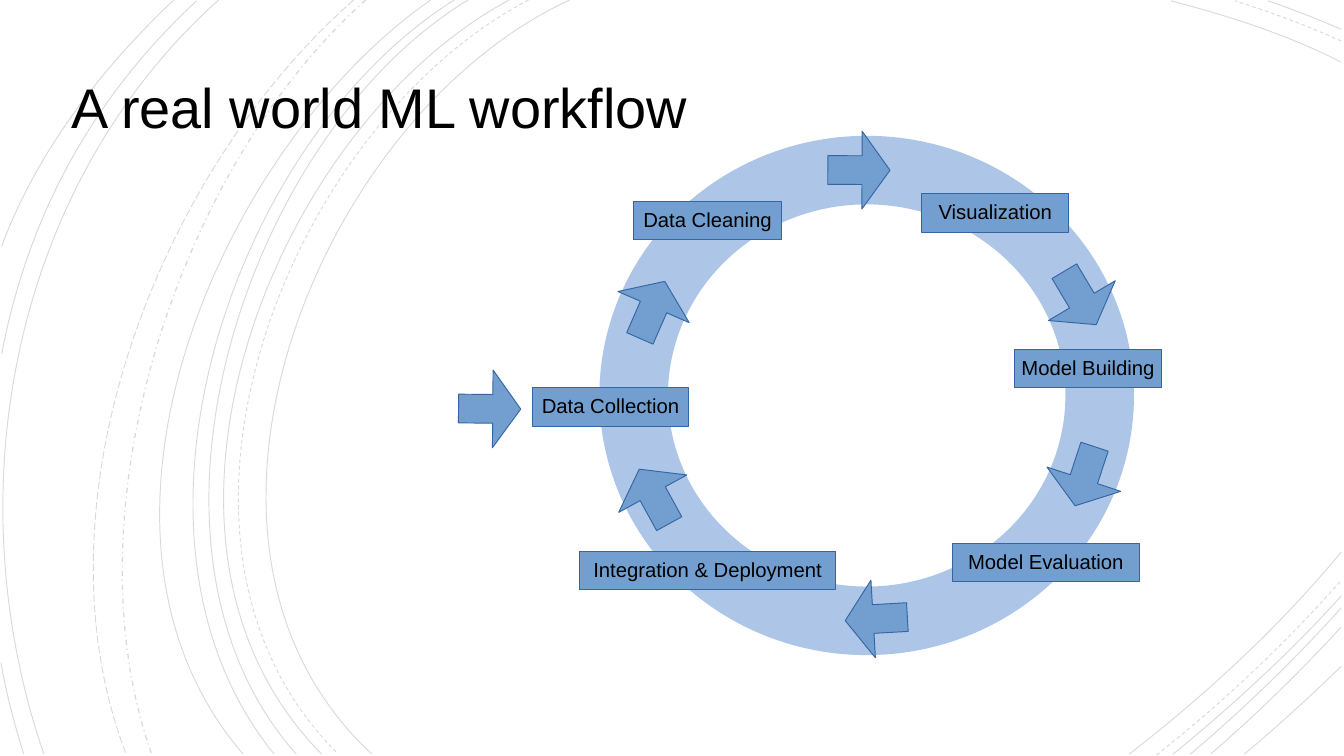
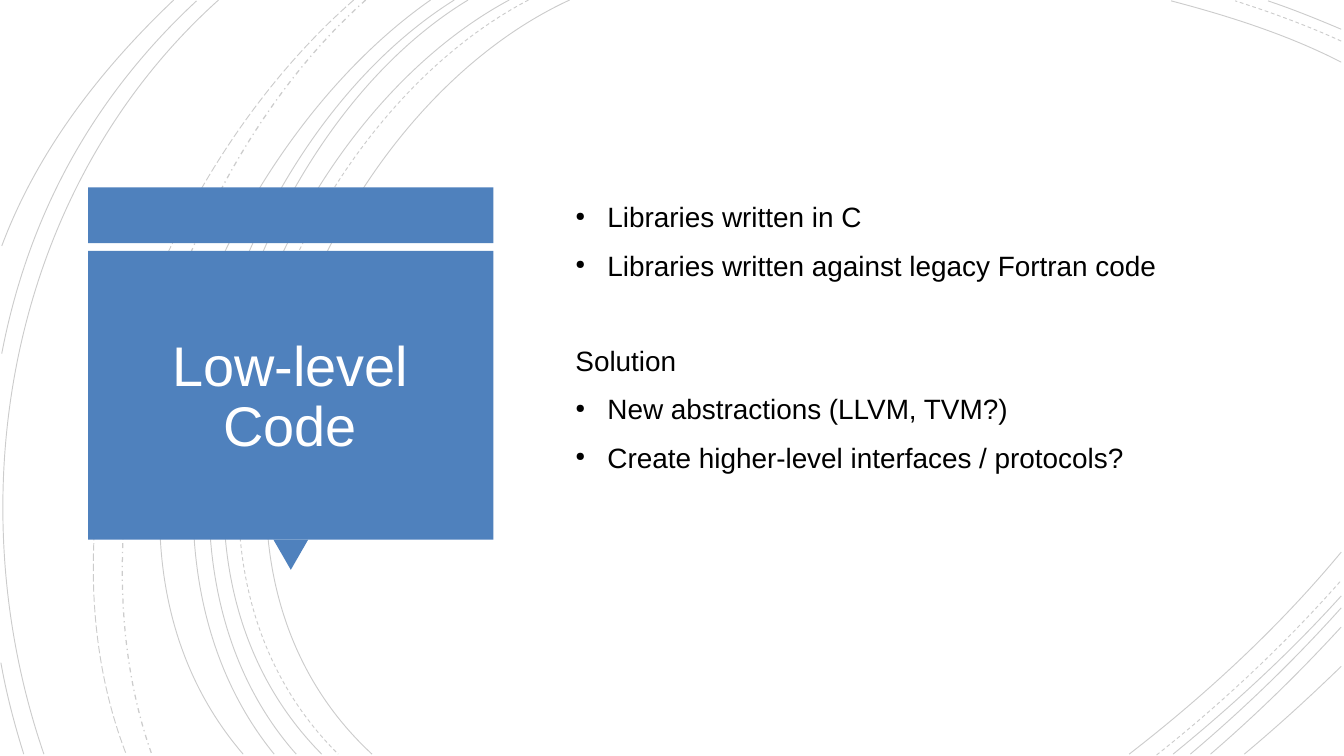
from lxml.etree import SubElement
from pptx import Presentation
from pptx.dml.color import RGBColor as Rgb
from pptx.enum.dml import MSO_LINE as Dash
from pptx.enum.shapes import MSO_SHAPE as Preset
from pptx.enum.text import MSO_ANCHOR as Anchor, MSO_AUTO_SIZE as Fit, PP_ALIGN as Align
from pptx.oxml.ns import qn
from pptx.util import Pt

SLIDE_SIZE = (1058.4, 595.44)
FONT = "Arial"
COLORS = {
    "ink": "000000",
    "paper": "FFFFFF",
    "ring": "ADC5E7",
    "step": "729FCF",
    "step_edge": "3465A4",
    "panel": "4F81BD",
}

ARCS = [
    (None, [
        [(448.6, 0), (249.8, 91.4), (113.8, 428.4), (293, 594)],
        [(1056.2, 49), (1014.5, 27.4), (966.2, 12.2), (922.3, 0.7)],
        [(889.2, 594), (949.7, 547.2), (1007.3, 493.9), (1056.2, 434.9)],
        [(401, 0), (213.8, 100.8), (87.1, 426.2), (253.4, 594)],
        [(1056.2, 23), (1037.5, 15.1), (1018.1, 7.2), (998.6, 0.7)],
        [(923.8, 594), (970.6, 555.8), (1015.9, 514.1), (1056.2, 469.4)],
        [(368.6, 0), (193.7, 105.8), (87.1, 429.1), (233.3, 594)],
        [(937.4, 594), (979.2, 558.7), (1019.5, 519.8), (1056.2, 478.8)],
        [(357.8, 0), (182.9, 109.4), (77, 423.4), (216, 594)],
        [(953.3, 594), (989.3, 563), (1023.8, 529.2), (1056.2, 493.9)],
        [(339.1, 0), (172.1, 116.6), (41.8, 419.8), (191.5, 594)],
        [(979.9, 594), (1005.8, 572.4), (1031, 549.4), (1056.2, 524.9)],
        [(172.1, 0), (8.6, 146.9), (-36, 388.8), (34.6, 594)],
        [(154.8, 0.7), (73.4, 76.3), (22.3, 169.2), (1.4, 278.6)],
        [(0.7, 522), (5, 546.5), (11.5, 571), (18.7, 594)],
        [(136.8, 0), (79.2, 54.7), (29.5, 118.8), (1.4, 193.7)],
    ]),
    (Dash.DASH, [
        [(416.2, 0), (226.1, 99.4), (97.2, 426.2), (266.4, 594)],
        [(1056.2, 32.4), (1029.6, 20.2), (1000.1, 9.4), (972.7, 0.7)],
        [(910.8, 594.7), (962.6, 553.7), (1011.6, 507.6), (1055.5, 457.9)],
    ]),
    (Dash.DASH_DOT, [[(288, 0), (139.7, 131.8), (51.8, 403.9), (119.5, 594)]]),
    (Dash.LONG_DASH, [[(278.6, 0), (125.3, 133.9), (23, 396), (99.4, 594)]]),
]

STEPS = [
    ("Data Collection", -79.4, 171.5, 122.4),
    ("Data Cleaning", 0, 24.7, 116.4),
    ("Visualization", 226.8, 18.7, 116),
    ("Model Building", 299.8, 141.4, 116),
    ("Integration & Deployment", -42.5, 300.2, 201.6),
    ("Model Evaluation", 251.2, 294, 146.8),
]
STEP_HEIGHT = 30.2

ARROWS = [
    (14.7, 110.1, 23.6),
    (177.4, 0, 90.2),
    (191.1, 353.4, 266.7),
    (351.7, 100.7, 149.2),
    (16.2, 257, 331.2),
    (-113.4, 188, 90.5),
    (355.3, 241.1, 198.2),
]
ARROW_SIZE = (61.2, 49)

POINTS = [
    ("Libraries written in C", True, 14.2),
    ("Libraries written against legacy Fortran code", True, 14.2),
    ("Solution", False, 51.5),
    ("New abstractions (LLVM, TVM?)", True, 14.2),
    ("Create higher-level interfaces / protocols?", True, 14.2),
]


def rgb(color):
    return Rgb.from_string(COLORS[color])


def apply(target, values):
    for key, value in values.items():
        setattr(target, key, value)


def lengths(*values):
    return [Pt(value) for value in values]


def paint(shape, fill=None, edge=None, width=0.75):
    shape.shadow.inherit = False
    for part, color in ((shape.fill, fill), (shape.line.fill, edge)):
        if color:
            part.solid()
            part.fore_color.rgb = rgb(color)
        else:
            part.background()
    if edge:
        shape.line.width = Pt(width)


def add_preset(slide, preset, box, **look):
    shape = slide.shapes.add_shape(preset, *lengths(*box))
    paint(shape, **look)
    return shape


def write(paragraph, text, size, color="ink", **layout):
    run = paragraph.add_run()
    run.text = text
    apply(run.font, {"name": FONT, "size": Pt(size)})
    run.font.color.rgb = rgb(color)
    apply(paragraph, {"line_spacing": 0.9, **layout})


def add_title(slide, box, text, color="ink"):
    title = slide.shapes.title
    apply(title, dict(zip(("left", "top", "width", "height"), lengths(*box))))
    frame = title.text_frame
    apply(frame, {"vertical_anchor": Anchor.MIDDLE, "word_wrap": True, "auto_size": Fit.NONE})
    write(frame.paragraphs[0], text, 44, color, alignment=Align.CENTER)
    title.element.getparent().append(title.element)


def add_curve(slide, knots):
    start, *rest = [lengths(*knot) for knot in knots]
    outline = slide.shapes.build_freeform(*start)
    outline.add_line_segments(rest, close=False)
    curve = outline.convert_to_shape()
    track = curve.element.xpath(".//a:pathLst/*")[0]
    bend = SubElement(track, qn("a:cubicBezTo"))
    for straight in track.findall(qn("a:lnTo")):
        bend.append(straight[0])
        track.remove(straight)
    return curve


def add_backdrop(slide, opacity):
    for dash, curves in ARCS:
        for knots in curves:
            arc = add_curve(slide, knots)
            paint(arc, edge="ink", width=1 if dash == Dash.DASH_DOT else 0.75)
            if dash:
                arc.line.dash_style = dash
            tint = arc.element.xpath(".//a:ln//a:srgbClr")[0]
            SubElement(tint, qn("a:alpha"), val=str(opacity * 1000))


def add_cycle(slide, box):
    left, top = box[:2]
    add_preset(slide, Preset.OVAL, box, edge="ring", width=54)
    for name, x, y, width in STEPS:
        step = add_preset(slide, Preset.RECTANGLE, (left + x, top + y, width, STEP_HEIGHT),
                          fill="step", edge="step_edge")
        apply(step.text_frame, {"word_wrap": False, "vertical_anchor": Anchor.MIDDLE})
        write(step.text_frame.paragraphs[0], name, 16,
              alignment=Align.CENTER, space_after=Pt(6))
    width, height = ARROW_SIZE
    for x, y, angle in ARROWS:
        arrow = add_preset(slide, Preset.UP_ARROW,
                           (left + x - width / 2, top + y - height / 2, width, height),
                           fill="step", edge="step_edge")
        arrow.rotation = angle
        arrow.adjustments[0] = 0.37
        arrow.adjustments[1] = 0.45


def add_title_panel(slide, box, text):
    left, top, width, height = box
    bar, gap, pointer_width, pointer_height = 44, 6, 27.4, 23.8
    card_top = top + bar + gap
    card_height = height - bar - gap - pointer_height
    add_preset(slide, Preset.RECTANGLE, (left, top, width, bar), fill="panel")
    pointer = add_preset(
        slide, Preset.ISOSCELES_TRIANGLE,
        (left + (width - pointer_width) / 2, card_top + card_height, pointer_width, pointer_height),
        fill="panel")
    pointer.rotation = 180
    add_preset(slide, Preset.RECTANGLE, (left, card_top, width, card_height), fill="panel")
    add_title(slide, (left + 9, card_top + 12, width - 19, card_height - 19), text, "paper")


def add_points(slide, box):
    frame = slide.shapes.add_textbox(*lengths(*box)).text_frame
    apply(frame, {"word_wrap": True, "vertical_anchor": Anchor.MIDDLE})
    apply(frame, dict.fromkeys(
        ("margin_left", "margin_right", "margin_top", "margin_bottom"), 0))
    for index, (text, bulleted, before) in enumerate(POINTS):
        paragraph = frame.add_paragraph() if index else frame.paragraphs[0]
        write(paragraph, text, 22, space_before=Pt(before), alignment=Align.LEFT)
        layout = paragraph._p.get_or_add_pPr()
        layout.set("marL", str(Pt(33.8 if bulleted else 8.6)))
        layout.set("indent", str(Pt(-25.2 if bulleted else 0)))
        if bulleted:
            SubElement(SubElement(layout, qn("a:buClr")), qn("a:srgbClr"), val=COLORS["ink"])
            SubElement(layout, qn("a:buSzPct"), val="45000")
            SubElement(layout, qn("a:buChar"), char="●")


def add_slide(deck, opacity):
    slide = deck.slides.add_slide(deck.slide_layouts[5])
    add_backdrop(slide, opacity)
    return slide


def main():
    deck = Presentation()
    apply(deck, dict(zip(("slide_width", "slide_height"), lengths(*SLIDE_SIZE))))

    workflow = add_slide(deck, 15)
    add_title(workflow, (20, 40, 558, 94), "A real world ML workflow")
    add_cycle(workflow, (499, 134, 367, 355))

    low_level = add_slide(deck, 20)
    add_title_panel(low_level, (69.5, 147.6, 319, 301.2), "Low-level Code")
    add_points(low_level, (444.6, 77, 545, 380))

    deck.save("out.pptx")


if __name__ == "__main__":
    main()
